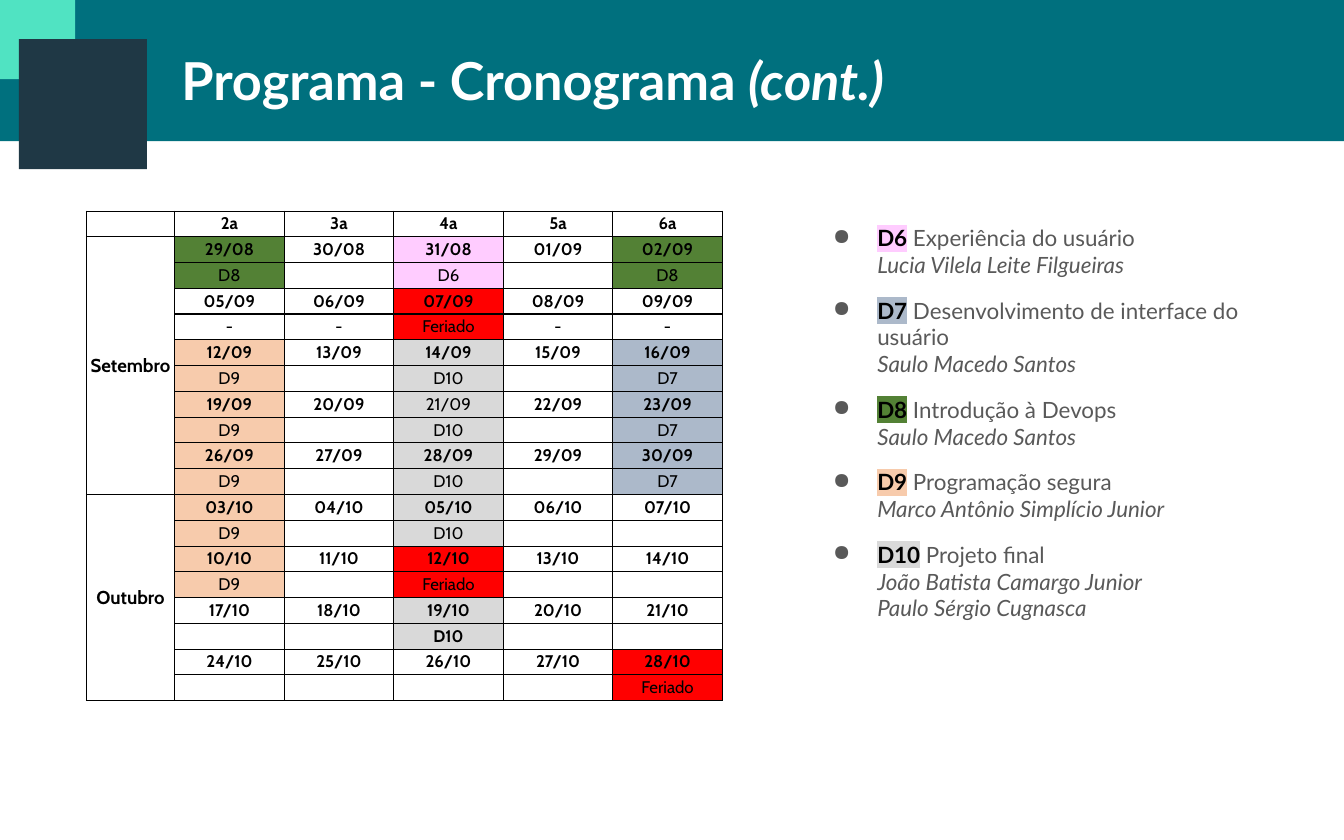
import dataclasses
import typing

import lxml.etree
import pptx
import pptx.dml.color
import pptx.enum.shapes
import pptx.enum.text
import pptx.oxml.ns
import pptx.util
from pptx.util import Cm

COLOURS = {
    "teal": "00707E", "mint": "50E3C2", "navy": "1F3845",
    "white": "FFFFFF", "black": "000000", "grey": "595959",
    "D6": "FFCCFF", "D7": "ACB9CA", "D8": "538135",
    "D9": "F7CBAC", "D10": "D9D9D9", "Feriado": "FF0000",
}
MIDDLE = pptx.enum.text.MSO_ANCHOR.MIDDLE
BOTTOM = pptx.enum.text.MSO_ANCHOR.BOTTOM
qn = pptx.oxml.ns.qn


@dataclasses.dataclass
class Block:
    colour: str
    left: float
    top: float
    width: float
    height: float


@dataclasses.dataclass
class Course:
    code: str
    name: str
    teachers: list[str]


BLOCKS = [
    Block("teal", -0.1, -0.1, 25.68, 2.77),
    Block("mint", -0.1, -0.1, 1.52, 1.6),
    Block("navy", 0.36, 0.74, 2.42, 2.46),
]
COURSES = [
    Course("D6", "Experiência do usuário", ["Lucia Vilela Leite Filgueiras"]),
    Course("D7", "Desenvolvimento de interface do usuário", ["Saulo Macedo Santos"]),
    Course("D8", "Introdução à Devops", ["Saulo Macedo Santos"]),
    Course("D9", "Programação segura", ["Marco Antônio Simplício Junior"]),
    Course("D10", "Projeto final", ["João Batista Camargo Junior", "Paulo Sérgio Cugnasca"]),
]
WEEKDAYS = ["2a", "3a", "4a", "5a", "6a"]
# One line per week, Monday to Friday, starting on 29/08
WEEKS = [
    ["D8", "", "D6", "", "D8"],
    ["-", "-", "Feriado", "-", "-"],
    ["D9", "", "D10", "", "D7"],
    ["D9", "", "D10", "", "D7"],
    ["D9", "", "D10", "", "D7"],
    ["D9", "", "D10", "", ""],
    ["D9", "", "Feriado", "", ""],
    ["", "", "D10", "", ""],
    ["", "", "", "", "Feriado"],
]
MONTH_WEEKS = {"Setembro": 5, "Outubro": 4}
PLAIN_DATES = {"21/09"}
BOLD_LABEL_WEEK = 7


def rgb(name: str) -> pptx.dml.color.RGBColor:
    return pptx.dml.color.RGBColor.from_string(COLOURS[name])


def add_text(para, text: str, *, size: float, font: str = "Lato", colour: str = "black",
             bold: bool = False, italic: bool = False,
             highlight: typing.Optional[str] = None) -> None:
    span = para.add_run()
    span.text = text
    span.font.size = pptx.util.Pt(size)
    span.font.name = font
    span.font.bold = bold
    span.font.italic = italic
    span.font.color.rgb = rgb(colour)
    if highlight:
        mark = lxml.etree.Element(qn("a:highlight"))
        lxml.etree.SubElement(mark, qn("a:srgbClr"), val=COLOURS[highlight])
        span.font.fill  # the highlight follows the solid fill
        span._r.rPr.find(qn("a:solidFill")).addnext(mark)


def add_block(page, block: Block) -> None:
    shape = page.shapes.add_shape(
        pptx.enum.shapes.MSO_SHAPE.RECTANGLE,
        Cm(block.left), Cm(block.top), Cm(block.width), Cm(block.height))
    shape.shadow.inherit = False
    shape.fill.solid()
    shape.fill.fore_color.rgb = rgb(block.colour)
    shape.line.fill.background()


def add_box(page, left: float, top: float, width: float, height: float):
    frame = page.shapes.add_textbox(Cm(left), Cm(top), Cm(width), Cm(height)).text_frame
    frame.word_wrap = True
    frame.margin_left = frame.margin_right = Cm(0.25)
    frame.margin_top = frame.margin_bottom = Cm(0.25)
    return frame


def set_bullet(para) -> None:
    props = para._p.get_or_add_pPr()
    props.set("marL", str(Cm(1.27)))
    props.set("indent", str(Cm(-0.84)))
    colour = lxml.etree.SubElement(props, qn("a:buClr"))
    lxml.etree.SubElement(colour, qn("a:srgbClr"), val=COLOURS["grey"])
    lxml.etree.SubElement(props, qn("a:buChar"), char="●")


def set_borders(cell, top: float, bottom: float) -> None:
    props = cell._tc.get_or_add_tcPr()
    widths = {"a:lnL": 0.5, "a:lnR": 0.5, "a:lnT": top, "a:lnB": bottom}
    for index, (tag, width) in enumerate(widths.items()):
        line = lxml.etree.Element(qn(tag), w=str(pptx.util.Pt(width)))
        fill = lxml.etree.SubElement(line, qn("a:solidFill"))
        lxml.etree.SubElement(fill, qn("a:srgbClr"), val=COLOURS["black"])
        props.insert(index, line)


def fill_cell(cell, text: str = "", *, fill: str = "white", size: float = 9,
              bold: bool = True, anchor=BOTTOM, top: float = 0.5, bottom: float = 0.5) -> None:
    cell.margin_left = cell.margin_right = Cm(0.07)
    cell.margin_top = cell.margin_bottom = Cm(0.05)
    cell.vertical_anchor = anchor
    cell.fill.solid()
    cell.fill.fore_color.rgb = rgb(fill)
    set_borders(cell, top, bottom)
    para = cell.text_frame.paragraphs[0]
    para.alignment = pptx.enum.text.PP_ALIGN.CENTER
    if text:
        add_text(para, text, size=size, font="Cabin", bold=bold)
    else:
        # An empty cell keeps the row low only with a small end mark
        lxml.etree.SubElement(para._p, qn("a:endParaRPr"), sz="800")


def date_text(offset: int) -> str:
    """Date that lies offset days after 29/08."""
    day, month = 29 + offset, 8
    for length in (31, 30):
        if day > length:
            day, month = day - length, month + 1
        else:
            break
    return f"{day:02d}/{month:02d}"


def add_calendar(page) -> None:
    row_count = 1 + 2 * len(WEEKS)
    table = page.shapes.add_table(row_count, 6, Cm(1.63), Cm(3.99), Cm(12.01), Cm(9.25)).table
    table.first_row = table.horz_banding = False
    for index, column in enumerate(table.columns):
        column.width = Cm(2.07) if index else Cm(1.67)
    for row in table.rows:
        row.height = Cm(0.487)

    # Header and month column
    for column, text in enumerate([""] + WEEKDAYS):
        fill_cell(table.cell(0, column), text)
    first = 1
    for month, weeks in MONTH_WEEKS.items():
        last = first + 2 * weeks - 1
        for row in range(first, last + 1):
            fill_cell(table.cell(row, 0), month if row == first else "", size=10, anchor=MIDDLE)
        table.cell(first, 0).merge(table.cell(last, 0))
        first = last + 1

    # A date row and a label row for each week
    for week, labels in enumerate(WEEKS):
        for day, label in enumerate(labels):
            fill = label if label in COLOURS else "white"
            date = date_text(7 * week + day)
            fill_cell(table.cell(1 + 2 * week, day + 1), date, fill=fill,
                      bold=date not in PLAIN_DATES, bottom=0.75)
            fill_cell(table.cell(2 + 2 * week, day + 1), label, fill=fill,
                      bold=week == BOLD_LABEL_WEEK, top=0.75)


def add_courses(page) -> None:
    frame = add_box(page, 15.06, 3.99, 9.47, 8.1)
    for index, course in enumerate(COURSES):
        para = frame.add_paragraph() if index else frame.paragraphs[0]
        if index:
            para.space_before = pptx.util.Pt(10)
        set_bullet(para)
        add_text(para, course.code, size=12, bold=True, highlight=course.code)
        add_text(para, " " + course.name, size=12, colour="grey")
        for teacher in course.teachers:
            para.add_line_break()
            add_text(para, teacher, size=12, colour="grey", italic=True)


def main() -> None:
    deck = pptx.Presentation()
    deck.slide_width, deck.slide_height = Cm(25.4), Cm(15.88)
    page = deck.slides.add_slide(deck.slide_layouts[6])
    for block in BLOCKS:
        add_block(page, block)

    # Title
    frame = add_box(page, 3.18, 0.61, 21.36, 1.78)
    frame.vertical_anchor = MIDDLE
    para = frame.paragraphs[0]
    add_text(para, "Programa - Cronograma ", size=28, colour="white", bold=True)
    add_text(para, "(cont.)", size=28, colour="white", bold=True, italic=True)

    add_courses(page)
    add_calendar(page)
    deck.save("out.pptx")


if __name__ == "__main__":
    main()
